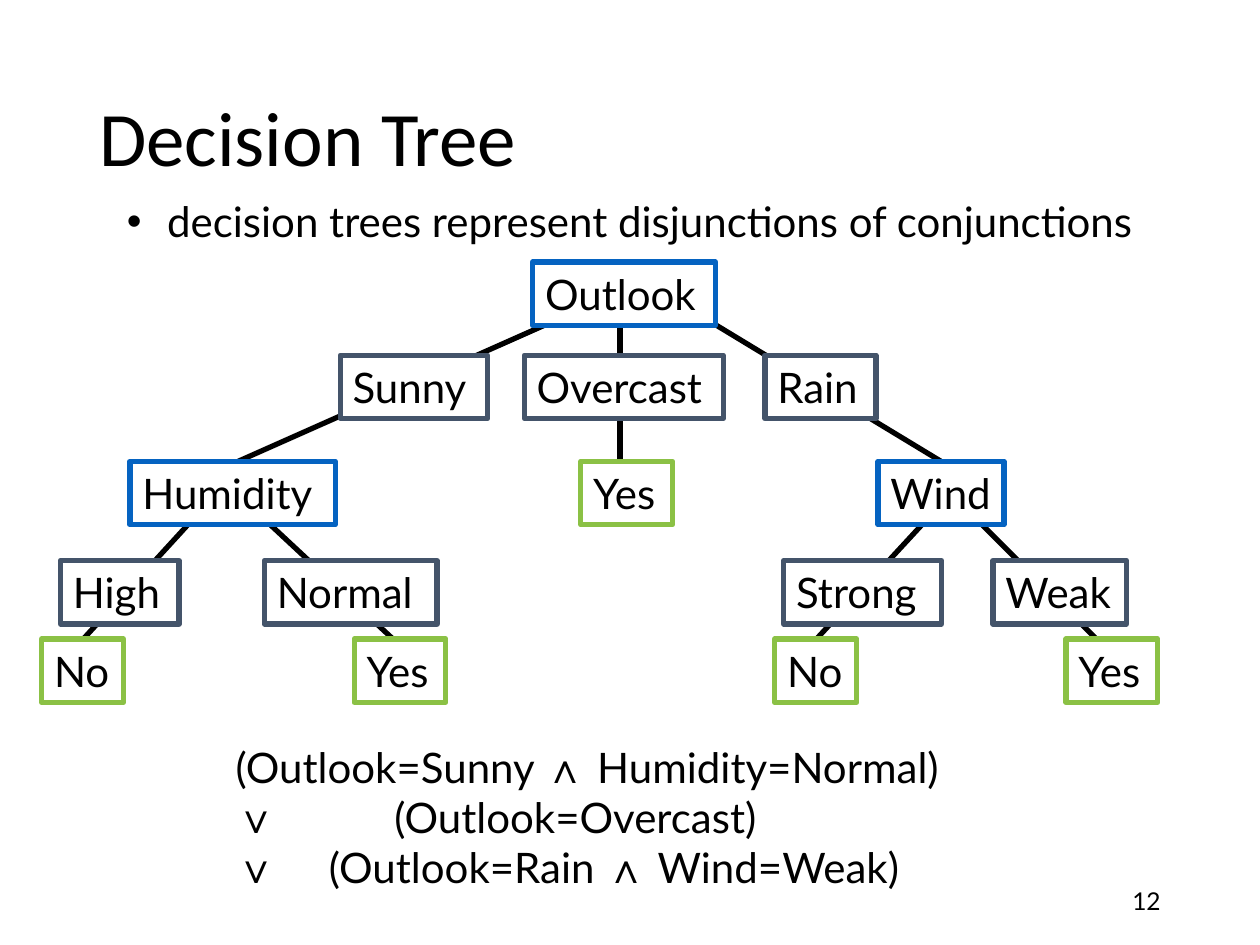
from typing import NamedTuple

from lxml import etree
from pptx import Presentation
from pptx.dml.color import RGBColor
from pptx.enum.shapes import MSO_CONNECTOR, MSO_SHAPE
from pptx.enum.text import MSO_ANCHOR, PP_ALIGN
from pptx.oxml.ns import qn
from pptx.util import Cm, Pt

RECTANGLE = MSO_SHAPE.RECTANGLE
STRAIGHT = MSO_CONNECTOR.STRAIGHT
TOP, MIDDLE = MSO_ANCHOR.TOP, MSO_ANCHOR.MIDDLE
LEFT, RIGHT = PP_ALIGN.LEFT, PP_ALIGN.RIGHT

BLACK = RGBColor(0x00, 0x00, 0x00)
WHITE = RGBColor(0xFF, 0xFF, 0xFF)
ATTRIBUTE = RGBColor(0x05, 0x63, 0xC1)
VALUE = RGBColor(0x44, 0x54, 0x6A)
DECISION = RGBColor(0x8B, 0xC1, 0x45)

BODY_FONT, TITLE_FONT, SYMBOL_FONT = "Lato", "Calibri", "Arial"
BODY_SIZE = 24
NODE_HEIGHT = 1.28
STROKE = Pt(3)
ROOT_Y, OUTLOOK_VALUES_Y, TEST_Y, TEST_VALUES_Y, LEAF_Y = 5.28, 7.16, 9.3, 11.3, 12.88
ROOT_EXIT_Y, TEST_EXIT_Y = 6.15, 10.16


class Node(NamedTuple):
    label: str
    left: float
    top: float
    width: float
    color: RGBColor


class Branch(NamedTuple):
    start_x: float
    start_y: float
    end_x: float
    end_y: float


class Clause(NamedTuple):
    text: str
    tab: float = 0


BRANCHES = [
    Branch(11.89, ROOT_EXIT_Y, 4.8, TEST_Y),
    Branch(13.77, ROOT_EXIT_Y, 18.97, TEST_Y),
    Branch(4.17, TEST_EXIT_Y, 1.68, LEAF_Y),
    Branch(5, TEST_EXIT_Y, 7.92, LEAF_Y),
    Branch(19.38, TEST_EXIT_Y, 22.1, LEAF_Y),
    Branch(18.97, TEST_EXIT_Y, 16.46, LEAF_Y),
    Branch(12.5, ROOT_EXIT_Y, 12.5, TEST_Y),
]

NODES = [
    Node("Outlook", 10.74, ROOT_Y, 3.68, ATTRIBUTE),
    Node("Sunny", 6.86, OUTLOOK_VALUES_Y, 2.97, VALUE),
    Node("Overcast", 10.57, OUTLOOK_VALUES_Y, 4.01, VALUE),
    Node("Rain", 15.42, OUTLOOK_VALUES_Y, 2.24, VALUE),
    Node("Humidity", 2.62, TEST_Y, 4.14, ATTRIBUTE),
    Node("High", 1.22, TEST_VALUES_Y, 2.39, VALUE),
    Node("Normal", 5.33, TEST_VALUES_Y, 3.48, VALUE),
    Node("Wind", 17.7, TEST_Y, 2.54, ATTRIBUTE),
    Node("Strong", 15.8, TEST_VALUES_Y, 3.18, VALUE),
    Node("Weak", 20.02, TEST_VALUES_Y, 2.69, VALUE),
    Node("No", 0.84, LEAF_Y, 1.65, DECISION),
    Node("Yes", 7.14, LEAF_Y, 1.85, DECISION),
    Node("Yes", 11.71, TEST_Y, 1.85, DECISION),
    Node("Yes", 21.49, LEAF_Y, 1.85, DECISION),
    Node("No", 15.62, LEAF_Y, 1.65, DECISION),
]

CLAUSES = [
    Clause("(Outlook=Sunny |∧| Humidity=Normal)"),
    Clause("∨|\t(Outlook=Overcast)", 3.2),
    Clause("∨|\t(Outlook=Rain |∧| Wind=Weak)", 1.88),
]


def add_run(paragraph, text: str, size: float = BODY_SIZE, font: str = BODY_FONT) -> None:
    run = paragraph.add_run()
    run.text = text
    run.font.size = Pt(size)
    run.font.name = font
    run.font.color.rgb = BLACK


def set_frame(shape, anchor=TOP):
    frame = shape.text_frame
    frame.word_wrap = True
    frame.vertical_anchor = anchor
    frame.margin_left = Cm(0.25)
    frame.margin_right = 0
    frame.margin_top = frame.margin_bottom = Cm(0.13)
    return frame


def add_text(slide, left: float, top: float, width: float, height: float, anchor=TOP):
    box = slide.shapes.add_textbox(Cm(left), Cm(top), Cm(width), Cm(height))
    return set_frame(box, anchor)


def add_branch(tree, branch: Branch) -> None:
    line = tree.shapes.add_connector(STRAIGHT, *map(Cm, branch))
    line.line.color.rgb = BLACK
    line.line.width = STROKE
    etree.SubElement(line._element.spPr, qn("a:effectLst"))


def add_node(tree, node: Node) -> None:
    box = tree.shapes.add_shape(
        RECTANGLE, Cm(node.left), Cm(node.top), Cm(node.width), Cm(NODE_HEIGHT)
    )
    box.shadow.inherit = False
    box.fill.solid()
    box.fill.fore_color.rgb = WHITE
    box.line.color.rgb = node.color
    box.line.width = STROKE
    paragraph = set_frame(box).paragraphs[0]
    paragraph.alignment = LEFT
    add_run(paragraph, node.label)


def add_bullet(paragraph, hanging: int) -> None:
    properties = paragraph._p.get_or_add_pPr()
    properties.set("marL", str(hanging))
    properties.set("indent", str(-hanging))
    etree.SubElement(properties, qn("a:buFont"), typeface=SYMBOL_FONT)
    etree.SubElement(properties, qn("a:buChar"), char="•")


def add_clause(paragraph, clause: Clause) -> None:
    if clause.tab:
        stops = etree.SubElement(paragraph._p.get_or_add_pPr(), qn("a:tabLst"))
        etree.SubElement(stops, qn("a:tab"), pos=str(Cm(clause.tab)), algn="l")
    for part in clause.text.split("|"):
        add_run(paragraph, part, font=SYMBOL_FONT if part in "∧∨" else BODY_FONT)


def main() -> None:
    deck = Presentation()
    deck.slide_width, deck.slide_height = Cm(25.4), Cm(19.05)
    slide = deck.slides.add_slide(deck.slide_layouts[6])

    title = add_text(slide, 1.75, 1.02, 21.92, 3.68, MIDDLE).paragraphs[0]
    title.line_spacing = 0.9
    add_run(title, "Decision Tree", 44, TITLE_FONT)

    page_frame = add_text(slide, 17.93, 17.65, 5.72, 1.02, MIDDLE)
    page_frame.margin_right = Cm(0.25)
    page_number = page_frame.paragraphs[0]
    page_number.alignment = RIGHT
    add_run(page_number, "12", 14)

    tree = slide.shapes.add_group_shape()
    for branch in BRANCHES:
        add_branch(tree, branch)
    for node in NODES:
        add_node(tree, node)

    statement = add_text(slide, 2.31, 3.81, 22, 1.28).paragraphs[0]
    add_bullet(statement, Cm(0.81))
    add_run(statement, "decision trees represent disjunctions of conjunctions")

    formula = add_text(slide, 4.5, 14.81, 15.19, 3.3)
    for index, clause in enumerate(CLAUSES):
        add_clause(formula.add_paragraph() if index else formula.paragraphs[0], clause)

    deck.save("out.pptx")


if __name__ == "__main__":
    main()
